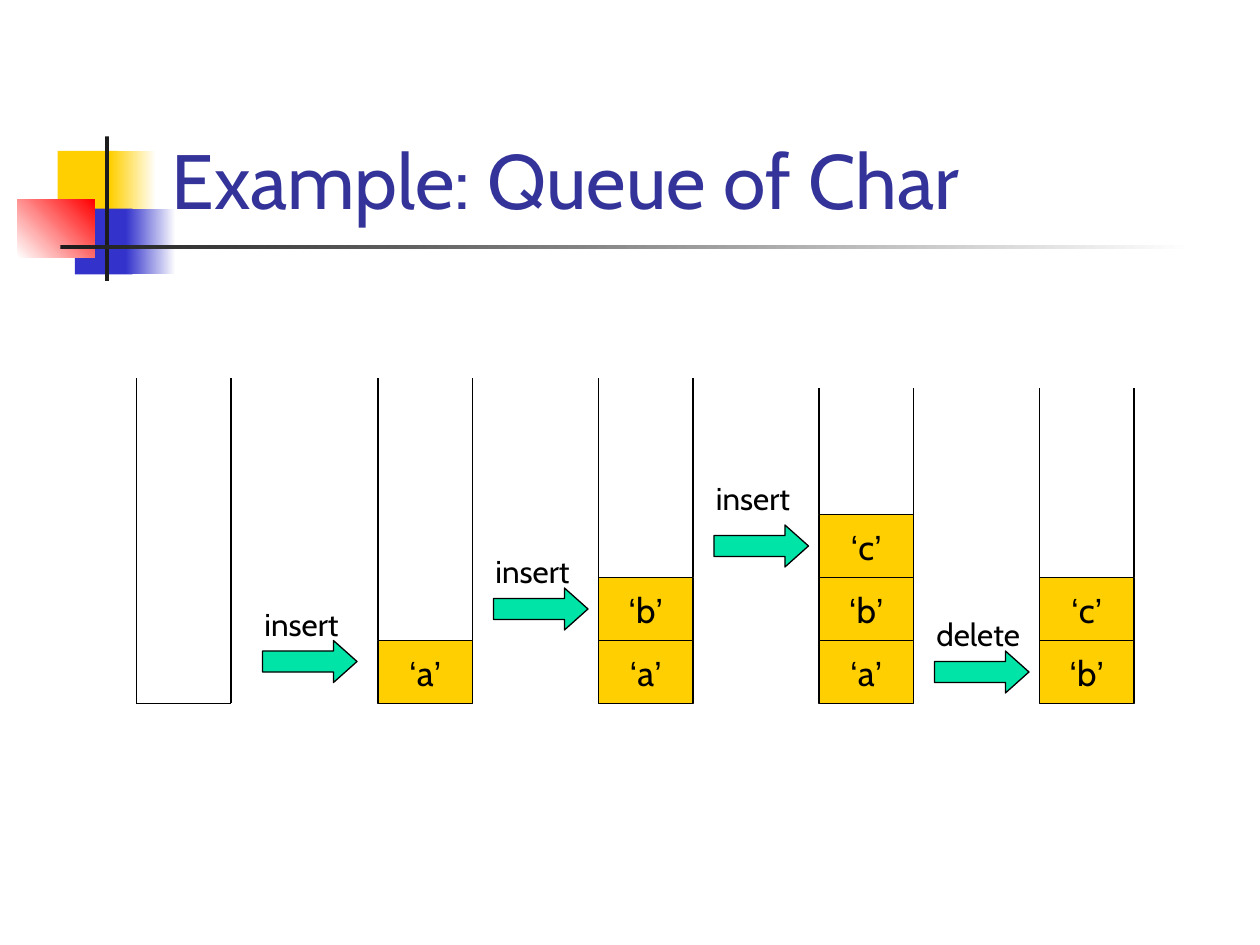
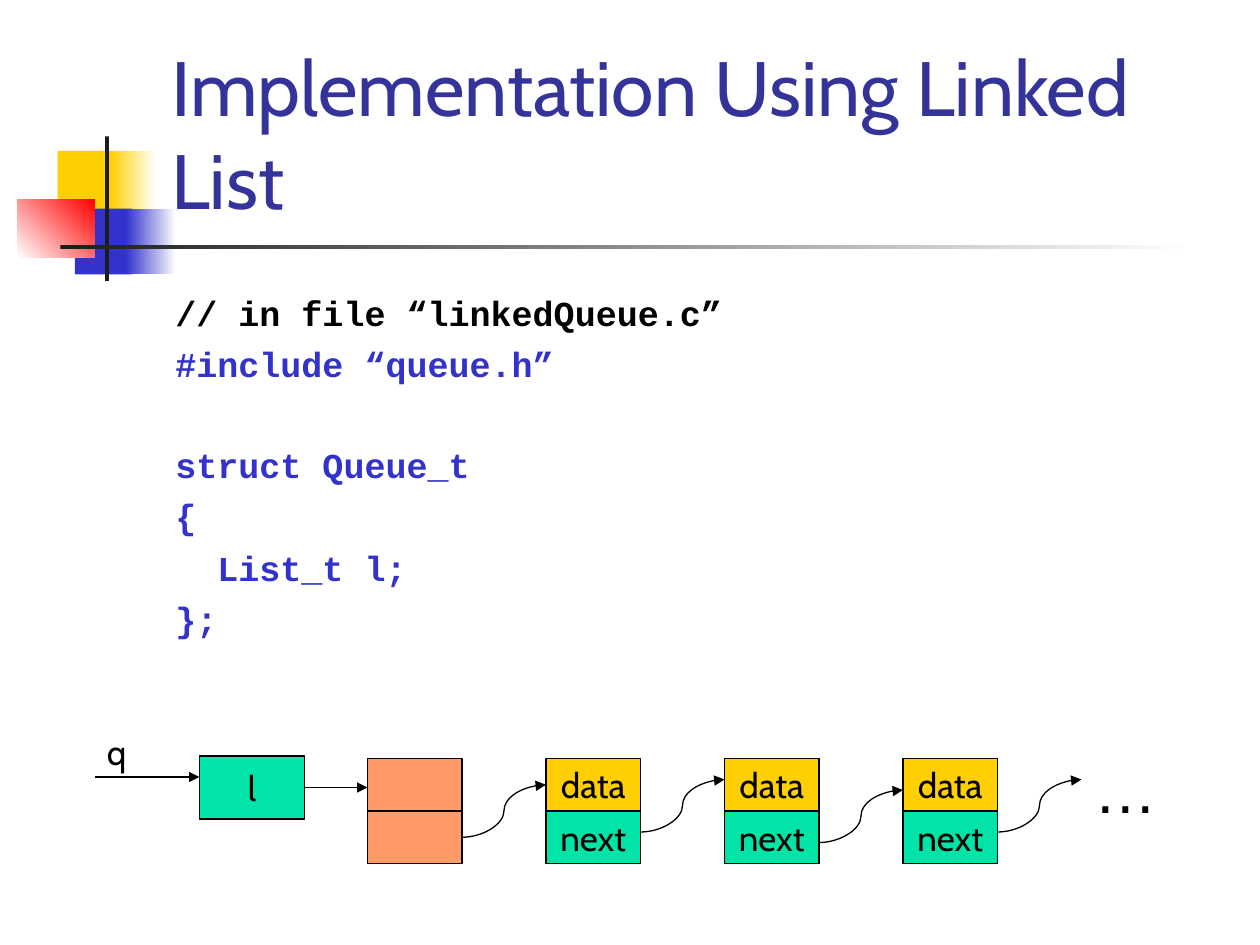
"""Build two slides that explain a queue and its linked list."""
from dataclasses import dataclass
from itertools import groupby

from lxml.etree import SubElement
from pptx import Presentation
from pptx.dml.color import RGBColor
from pptx.enum.shapes import MSO_CONNECTOR, MSO_SHAPE
from pptx.enum.text import MSO_ANCHOR, MSO_AUTO_SIZE, PP_ALIGN
from pptx.oxml.ns import qn
from pptx.util import Pt

PX = 9525


@dataclass(frozen=True)
class Theme:
    gold: str = "FFCF01"
    blue: str = "3333CC"
    red: str = "FF0000"
    green: str = "00E4A8"
    peach: str = "FF9966"
    navy: str = "333399"
    dark: str = "1C1C1C"
    black: str = "000000"
    white: str = "FFFFFF"
    sans: str = "Cabin"
    quote: str = "Arial"
    mono: str = "Courier New"
    head: int = 44
    dots: int = 36
    text: int = 20
    small: int = 18
    thin: float = 0.75
    gap: float = 5.4
    skip: float = 33.5


def paint(color, tint):
    color.rgb = RGBColor.from_string(tint)


def scale(*sizes):
    return [size * PX for size in sizes]


class Deck:
    def __init__(self, theme):
        self.theme = theme
        self.show = Presentation()
        self.show.slide_width, self.show.slide_height = scale(960, 720)
        self.slide = None

    def start(self, layout, title):
        self.slide = self.show.slides.add_slide(self.show.slide_layouts[layout])
        holder = self.slide.shapes.title
        frame = self.place(holder, 121, 22, 818, 154)
        frame.vertical_anchor = MSO_ANCHOR.BOTTOM
        self.letter(frame.paragraphs[0], title, self.theme.head, self.theme.navy)

    def place(self, holder, *area):
        holder.left, holder.top, holder.width, holder.height = scale(*area)
        frame = holder.text_frame
        frame.word_wrap = True
        frame.auto_size = MSO_AUTO_SIZE.NONE
        return frame

    def letter(self, para, text, size, tint, align=PP_ALIGN.LEFT, font=None, bold=False):
        first, *rest = ["".join(part) for _, part in groupby(text, lambda sign: sign in "‘’…")]
        para.text = first
        for part in rest:
            para.add_run().text = part
        para.alignment = align
        for run in para.runs:
            plain = self.theme.quote if run.text in "‘’…" else self.theme.sans
            run.font.name = font or plain
            run.font.size = Pt(size)
            run.font.bold = bold
            paint(run.font.color, tint)

    def shape(self, area, tint, kind=MSO_SHAPE.RECTANGLE, edge=True):
        shape = self.slide.shapes.add_shape(kind, *scale(*area))
        shape.shadow.inherit = False
        shape.fill.solid()
        paint(shape.fill.fore_color, tint)
        if edge:
            paint(shape.line.color, self.theme.black)
            shape.line.width = Pt(self.theme.thin)
        else:
            shape.line.fill.background()
        return shape

    def box(self, area, tint, text=""):
        shape = self.shape(area, tint)
        if text:
            frame = shape.text_frame
            frame.word_wrap = False
            frame.vertical_anchor = MSO_ANCHOR.MIDDLE
            self.letter(frame.paragraphs[0], text, self.theme.text, self.theme.black, PP_ALIGN.CENTER)
        return shape

    def arrow(self, left, top):
        shape = self.shape((left, top, 72, 32), self.theme.green, MSO_SHAPE.RIGHT_ARROW)
        shape.adjustments[1] = 0.56

    def label(self, area, text, size):
        frame = self.slide.shapes.add_textbox(*scale(*area)).text_frame
        frame.word_wrap = True
        self.letter(frame.paragraphs[0], text, size, self.theme.black)

    def line(self, *ends, kind=MSO_CONNECTOR.STRAIGHT, tip=False):
        link = self.slide.shapes.add_connector(kind, *scale(*ends))
        paint(link.line.color, self.theme.black)
        link.line.width = Pt(self.theme.thin)
        props = link.element.spPr
        if tip:
            SubElement(props.find(qn("a:ln")), qn("a:tailEnd"), type="triangle")
        SubElement(props, qn("a:effectLst"))
        return link

    def listing(self, area, rows):
        frame = self.place(self.slide.placeholders[1], *area)
        frame.text = "\n".join(text for text, _, _ in rows)
        for para, (text, tint, space) in zip(frame.paragraphs, rows):
            props = para._p.get_or_add_pPr()
            props.set("marL", "0")
            props.set("indent", "0")
            SubElement(props, qn("a:buNone"))
            para.space_before = Pt(space)
            self.letter(para, text, self.theme.text, tint, font=self.theme.mono, bold=True)

    def brand(self):
        theme = self.theme
        marks = [
            ((44, 115, 46, 50), theme.gold, None, 0),
            ((84, 115, 35, 50), theme.gold, theme.white, 0),
            ((57, 159, 44, 50), theme.blue, None, 0),
            ((96, 159, 38, 50), theme.blue, theme.white, 0),
            ((13, 152, 59, 44), theme.white, theme.red, 45),
            ((80, 104, 3, 110), theme.dark, None, 0),
            ((46, 187, 864, 3), theme.dark, theme.white, 0),
        ]
        tree = self.show.slide_master.shapes.element
        for spot, (area, tint, fade, angle) in enumerate(marks):
            mark = self.shape(area, tint, edge=False)
            if fade:
                mark.fill.gradient()
                mark.fill.gradient_angle = angle
                for stop, color in zip(mark.fill.gradient_stops, (tint, fade)):
                    paint(stop.color, color)
            mark.element.nvSpPr.cNvPr.set("id", str(100 + spot))
            tree.insert(2 + spot, mark.element)

    def stack(self, left, top, items):
        wide, high, floor = 72, 48, 536
        level = floor - high * len(items)
        self.line(left, level, left + wide, level)
        for side in (left, left + wide):
            self.line(side, top, side, level)
        for step, item in enumerate(items, 1):
            self.box((left, floor - high * step, wide, high), self.theme.gold, f"‘{item}’")


def queue(deck):
    deck.start(5, "Example: Queue of Char")
    deck.brand()
    deck.stack(104, 288, "")
    for step, (top, items) in enumerate([(288, "a"), (288, "ab"), (296, "abc"), (296, "bc")]):
        deck.stack(288 + 168 * step, top, items)
    moves = [
        (200, 488, 32, 80, "insert"),
        (376, 448, 32, 80, "insert"),
        (544, 400, 40, 80, "insert"),
        (712, 496, 32, 96, "delete"),
    ]
    for left, top, rise, wide, text in moves:
        deck.arrow(left, top)
        deck.label((left - 8, top - rise, wide, 38), text, deck.theme.small)


def chain(deck):
    theme = deck.theme
    deck.start(1, "Implementation Using Linked List")
    deck.listing((124, 217, 816, 427), [
        ("// in file “linkedQueue.c”", theme.black, 0),
        ("#include “queue.h”", theme.blue, theme.gap),
        ("struct Queue_t", theme.blue, theme.skip),
        ("{", theme.blue, theme.gap),
        ("  List_t l;", theme.blue, theme.gap),
        ("};", theme.blue, theme.gap),
    ])
    owner = deck.box((152, 576, 80, 48), theme.green, "l")
    deck.label((72, 552, 72, 41), "q", theme.text)
    deck.line(72, 592, 152, 592, tip=True)
    deck.line(232, 600, 280, 600, tip=True).begin_connect(owner, 3)
    left, top, wide, high, pitch = 280, 578, 72, 40, 136
    for step, shift in enumerate((0, -4, 4, -4)):
        x = left + pitch * step
        cells = [(theme.gold, "data"), (theme.green, "next")] if step else [(theme.peach, "")] * 2
        for row, (tint, text) in enumerate(cells):
            deck.box((x, top + high * row, wide, high), tint, text)
        y = top + high // 2 + shift
        deck.line(x + wide, y + high, x + pitch, y, kind=MSO_CONNECTOR.CURVE, tip=True)
    deck.label((824, 567, 72, 67), "…", theme.dots)


def main():
    deck = Deck(Theme())
    queue(deck)
    chain(deck)
    deck.show.save("out.pptx")


if __name__ == "__main__":
    main()
